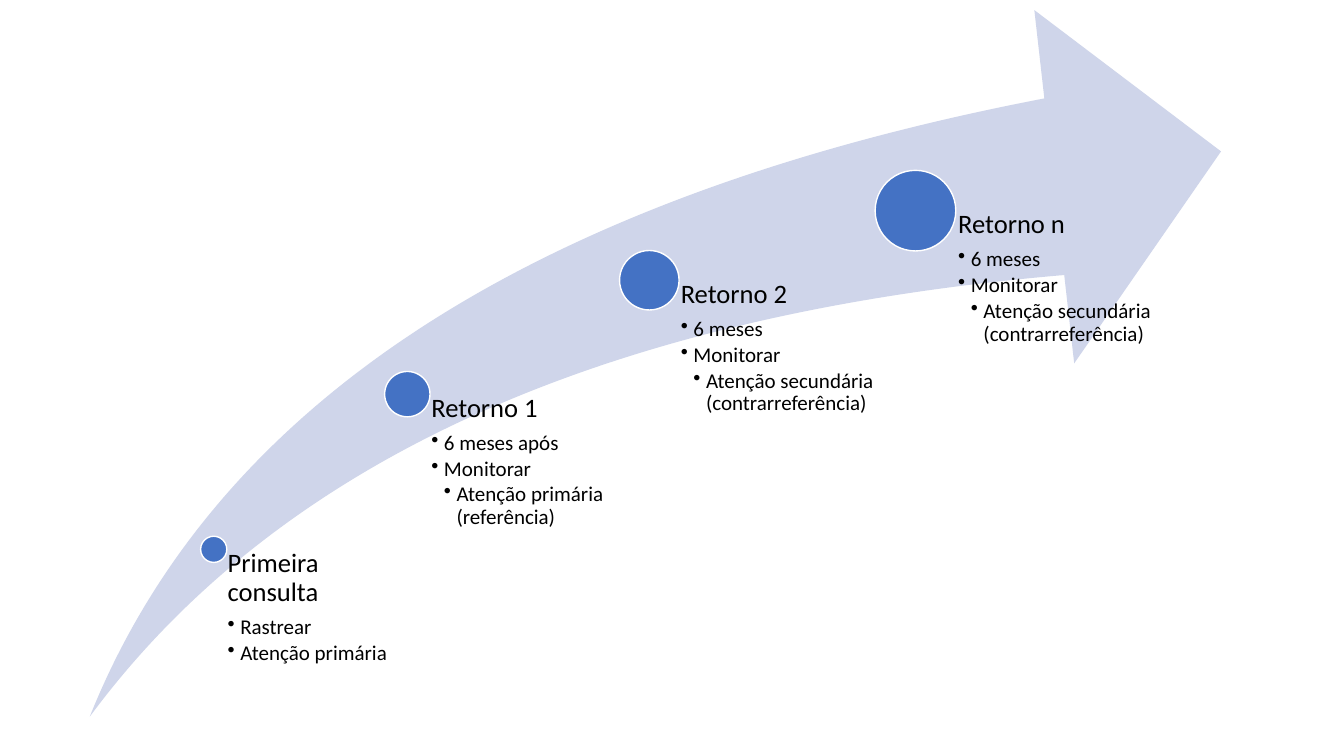
import dataclasses

import lxml.etree
import pptx
import pptx.dml.color
import pptx.enum.shapes
import pptx.oxml.ns
import pptx.util
from pptx.util import Inches

COLORS = {"arrow": "CFD5EA", "dot": "4472C4", "outline": "FFFFFF", "text": "000000"}
FONT = "Calibri"
TEXT_BOTTOM = 7.11
INDENT = 0.125


@dataclasses.dataclass
class Visit:
    center_x: float
    center_y: float
    diameter: float
    title: str
    items: list[str]
    detail: str = ""
    text_width: float = 2.36


VISITS = [
    Visit(2.12, 5.45, 0.26, "Primeira consulta", ["Rastrear", "Atenção primária"], text_width=1.92),
    Visit(4.04, 3.91, 0.45, "Retorno 1", ["6 meses após", "Monitorar"],
          "Atenção primária (referência)"),
    Visit(6.44, 2.78, 0.59, "Retorno 2", ["6 meses", "Monitorar"],
          "Atenção secundária (contrarreferência)"),
    Visit(9.08, 2.09, 0.8, "Retorno n", ["6 meses", "Monitorar"],
          "Atenção secundária (contrarreferência)"),
]


def rgb(name: str) -> pptx.dml.color.RGBColor:
    return pptx.dml.color.RGBColor.from_string(COLORS[name])


def add_filled_shape(page, kind, left: float, top: float, width: float, height: float,
                     *, fill: str, line: str | None = None):
    shape = page.shapes.add_shape(kind, Inches(left), Inches(top), Inches(width), Inches(height))
    shape.shadow.inherit = False
    shape.fill.solid()
    shape.fill.fore_color.rgb = rgb(fill)
    if line:
        shape.line.color.rgb = rgb(line)
        shape.line.width = pptx.util.Pt(1)
    else:
        shape.line.fill.background()
    return shape


def write_paragraph(para, text: str, *, size: float, space_after: float, level: int = 0) -> None:
    para.level = level
    para.line_spacing = 0.9
    para.space_before = pptx.util.Pt(0)
    para.space_after = pptx.util.Pt(space_after)
    span = para.add_run()
    span.text = text
    span.font.name = FONT
    span.font.size = pptx.util.Pt(size)
    span.font.color.rgb = rgb("text")
    if level:
        properties = para._p.get_or_add_pPr()
        properties.set("marL", str(Inches(INDENT * level)))
        properties.set("indent", str(-Inches(INDENT)))
        bullet = lxml.etree.SubElement(properties, pptx.oxml.ns.qn("a:buChar"))
        bullet.set("char", "•")


def add_visit(page, visit: Visit) -> None:
    # Dot on the arrow
    radius = visit.diameter / 2
    add_filled_shape(page, pptx.enum.shapes.MSO_SHAPE.OVAL,
                     visit.center_x - radius, visit.center_y - radius,
                     visit.diameter, visit.diameter, fill="dot", line="outline")

    # Text starts at the dot's center and is inset past its edge
    box = page.shapes.add_textbox(Inches(visit.center_x), Inches(visit.center_y),
                                  Inches(visit.text_width), Inches(TEXT_BOTTOM - visit.center_y))
    frame = box.text_frame
    frame.word_wrap = True
    frame.margin_left = Inches(visit.diameter * 0.53)
    frame.margin_top = frame.margin_right = frame.margin_bottom = 0
    write_paragraph(frame.paragraphs[0], visit.title, size=19, space_after=6.65)
    for item in visit.items:
        write_paragraph(frame.add_paragraph(), item, size=15, space_after=2.25, level=1)
    if visit.detail:
        write_paragraph(frame.add_paragraph(), visit.detail, size=15, space_after=2.25, level=2)


deck = pptx.Presentation()
deck.slide_width = Inches(13.33)
deck.slide_height = Inches(7.5)
page = deck.slides.add_slide(deck.slide_layouts[6])

# Rising arrow
arrow = add_filled_shape(page, pptx.enum.shapes.MSO_SHAPE.SWOOSH_ARROW,
                         0.89, 0.1, 11.22, 7.01, fill="arrow")
arrow.adjustments[0] = 0.25
arrow.adjustments[1] = 0.25

# Visits along the arrow
for visit in VISITS:
    add_visit(page, visit)

deck.save("out.pptx")
